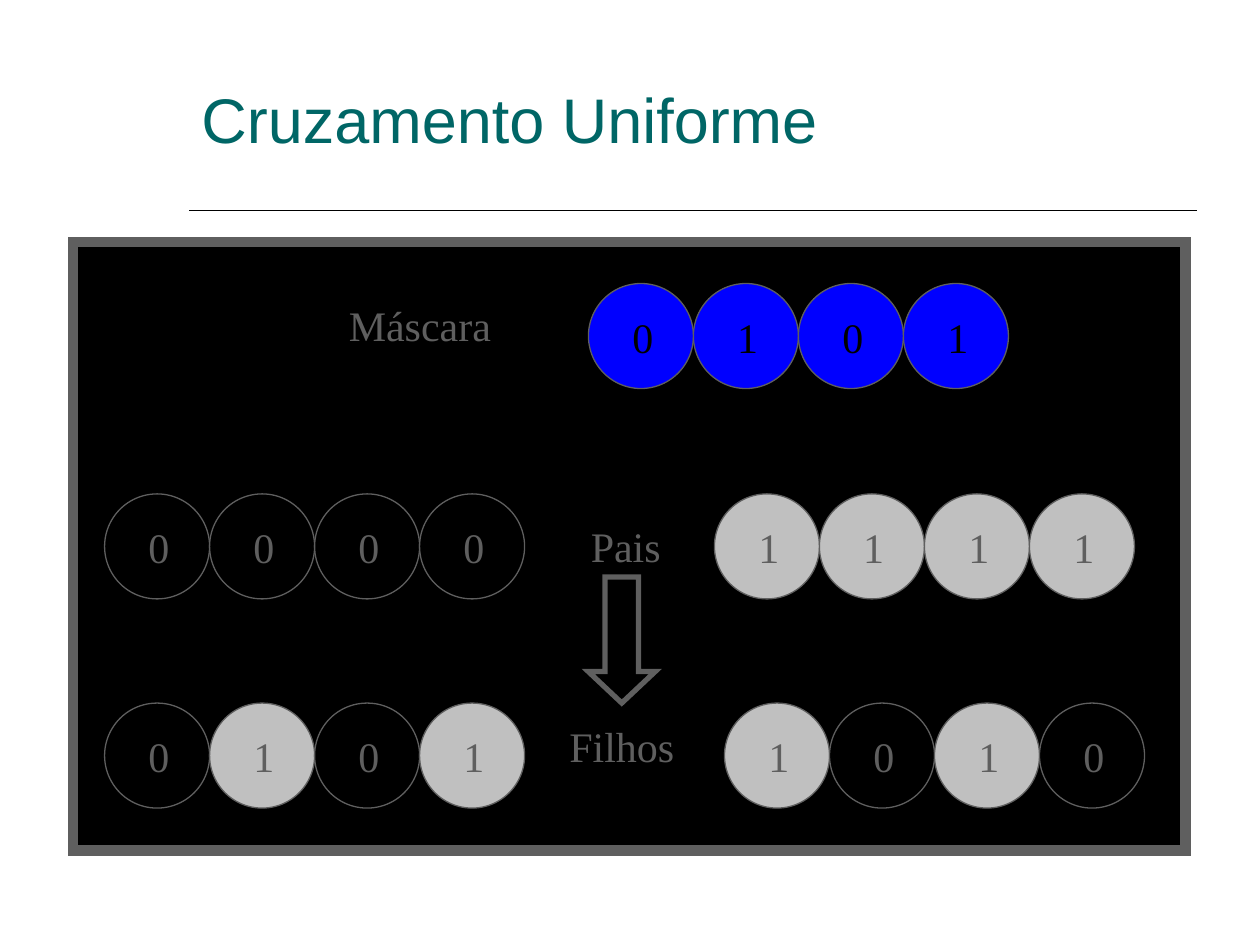
from pptx import Presentation
from pptx.dml.color import RGBColor
from pptx.enum.shapes import MSO_CONNECTOR, MSO_SHAPE
from pptx.enum.text import MSO_ANCHOR, MSO_AUTO_SIZE, PP_ALIGN
from pptx.oxml.ns import qn
from pptx.util import Inches, Pt
from lxml import etree

RECT, OVAL, ARROW = MSO_SHAPE.RECTANGLE, MSO_SHAPE.OVAL, MSO_SHAPE.DOWN_ARROW
TOP, BOTTOM = MSO_ANCHOR.TOP, MSO_ANCHOR.BOTTOM
LEFT, CENTER = PP_ALIGN.LEFT, PP_ALIGN.CENTER
GROW, FIXED = MSO_AUTO_SIZE.SHAPE_TO_FIT_TEXT, MSO_AUTO_SIZE.NONE

BLACK = RGBColor(0x00, 0x00, 0x00)
GRAY = RGBColor(0x5F, 0x5F, 0x5F)
SILVER = RGBColor(0xC0, 0xC0, 0xC0)
BLUE = RGBColor(0x00, 0x00, 0xFF)
TEAL = RGBColor(0x00, 0x66, 0x66)

SERIF = {"name": "Times New Roman", "size": Pt(24)}
SANS = {"name": "Arial", "size": Pt(36)}

deck = Presentation()
deck.slide_width, deck.slide_height = Inches(10), Inches(7.5)
slide = deck.slides.add_slide(deck.slide_layouts[6])
shapes = slide.shapes


def draw(kind, x, y, w, h, fill, width=0):
    """Add a filled shape, with a sharp gray outline when width is given."""
    shape = shapes.add_shape(kind, Inches(x), Inches(y), Inches(w), Inches(h))
    shape.shadow.inherit = False
    shape.fill.solid()
    shape.fill.fore_color.rgb = fill
    if width:
        shape.line.color.rgb = GRAY
        shape.line.width = Pt(width)
        line = shape._element.spPr.find(qn("a:ln"))
        etree.SubElement(line, qn("a:miter"), lim="800000")
    else:
        shape.line.fill.background()
    return shape


def write(shape, text, face, color, align=LEFT, **frame):
    """Put one formatted line of text into a shape."""
    box = shape.text_frame
    box.word_wrap = True
    for key, value in frame.items():
        setattr(box, key, value)
    para = box.paragraphs[0]
    para.text = text
    para.alignment = align
    font = para.runs[0].font
    for key, value in face.items():
        setattr(font, key, value)
    font.color.rgb = color


# Title and rule
title = shapes.add_textbox(Inches(1.5), Inches(0.62), Inches(8), Inches(0.67))
write(title, "Cruzamento Uniforme", SANS, TEAL, auto_size=FIXED,
      vertical_anchor=BOTTOM)
rule = shapes.add_connector(MSO_CONNECTOR.STRAIGHT, Inches(1.5), Inches(1.67),
                            Inches(9.5), Inches(1.67))
rule.line.color.rgb = BLACK
rule.line.width = Pt(1)
etree.SubElement(rule._element.spPr, qn("a:effectLst"))

# Dark panel
draw(RECT, 0.58, 1.92, 8.83, 4.83, BLACK, 6)

# Gene strings: left, top, bits, fill per bit, digit colour
GENES = {"0": BLACK, "1": SILVER}
MASK = {"0": BLUE, "1": BLUE}
SIZE = 5 / 6
rows = [
    (4.67, 2.25, "0101", MASK, BLACK),
    (0.83, 3.92, "0000", GENES, GRAY),
    (5.67, 3.92, "1111", GENES, GRAY),
    (0.83, 5.58, "0101", GENES, GRAY),
    (5.75, 5.58, "1010", GENES, GRAY),
]
for left, top, bits, fills, ink in rows:
    for i, bit in enumerate(bits):
        x = left + i * SIZE
        draw(OVAL, x, top, SIZE, SIZE, fills[bit], 0.75)
        digit = draw(RECT, x + 0.25, top + 0.17, 0.33, 0.5, fills[bit])
        write(digit, bit, SERIF, ink, CENTER, auto_size=GROW,
              vertical_anchor=TOP)

# Row labels, each wide enough for one line
labels = [
    ("Máscara", 2.67, 2.33, 1.4),
    ("Pais", 4.59, 4.08, 0.85),
    ("Filhos", 4.42, 5.67, 1.12),
]
for text, x, y, w in labels:
    label = shapes.add_textbox(Inches(x), Inches(y), Inches(w), Inches(0.5))
    write(label, text, SERIF, GRAY, auto_size=GROW, vertical_anchor=TOP)

# Arrow from parents to children
arrow = draw(ARROW, 4.67, 4.58, 0.53, 1, BLACK, 3)
arrow.adjustments[0] = 0.5
arrow.adjustments[1] = 0.47

deck.save("out.pptx")
